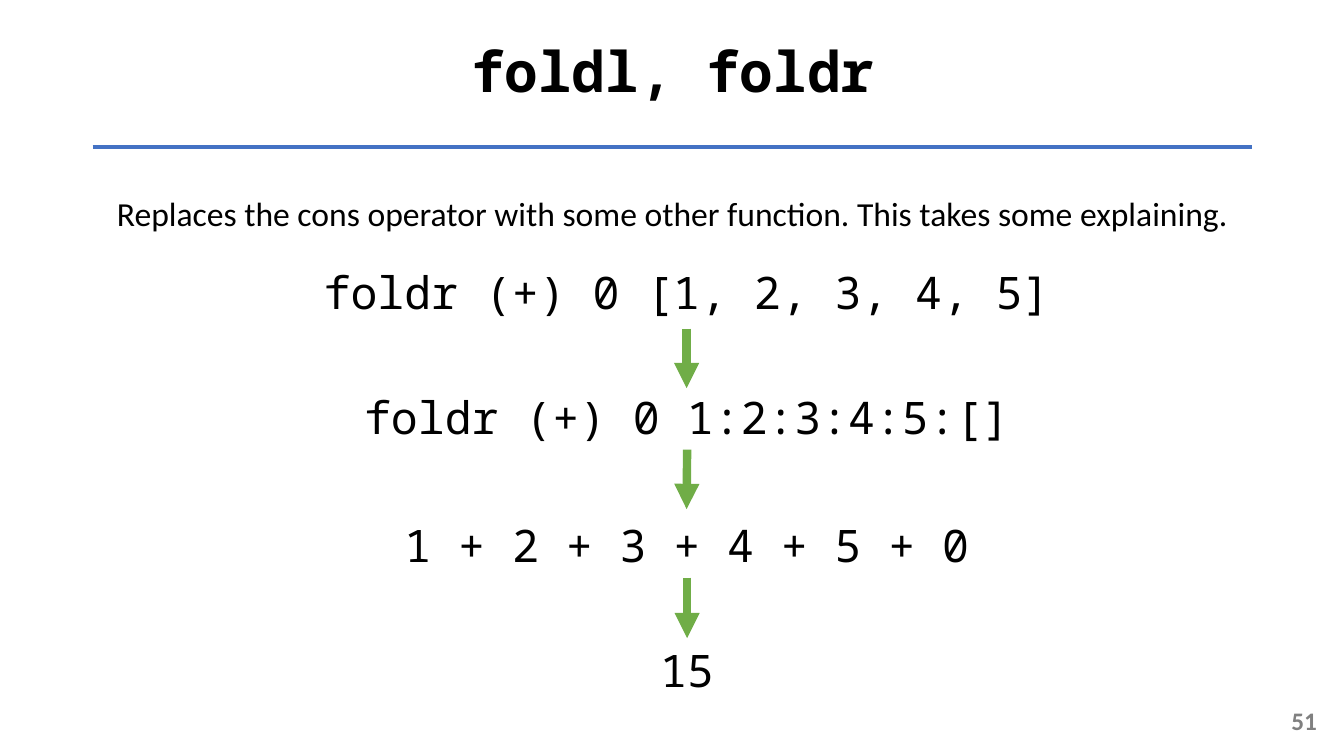
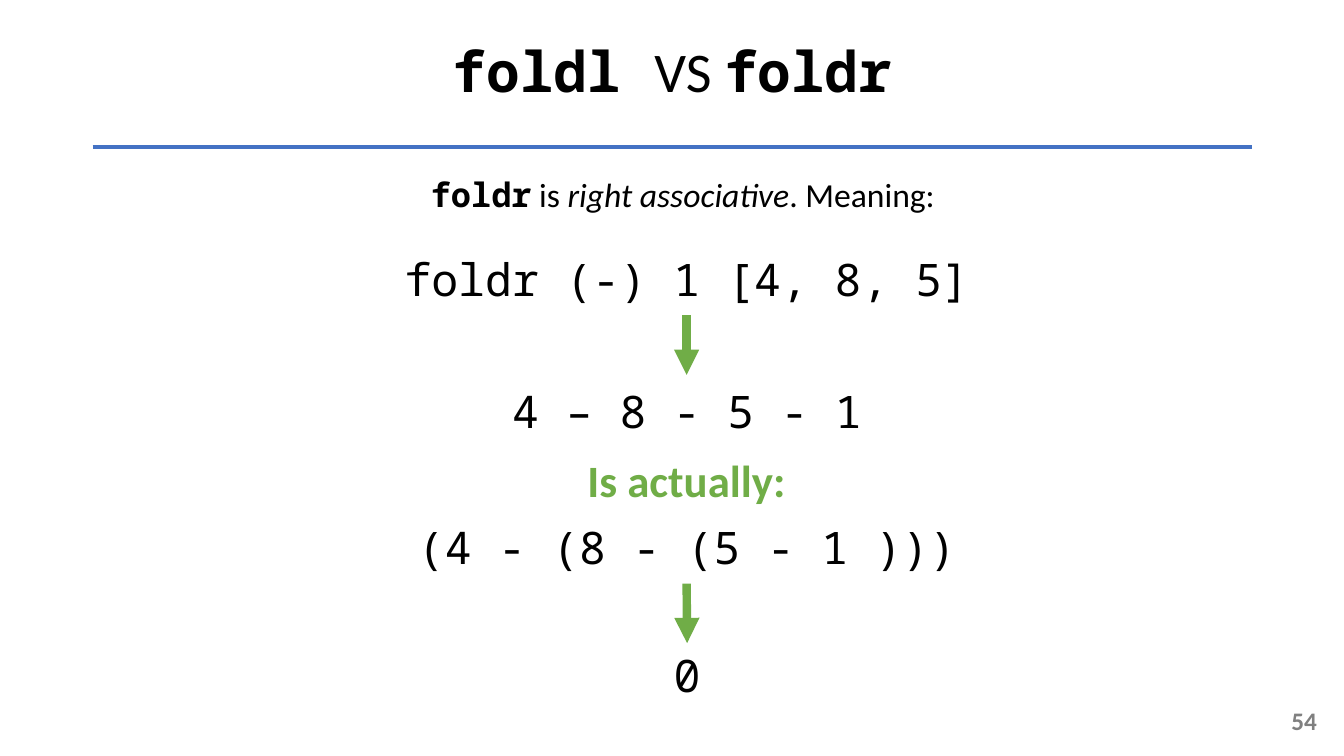
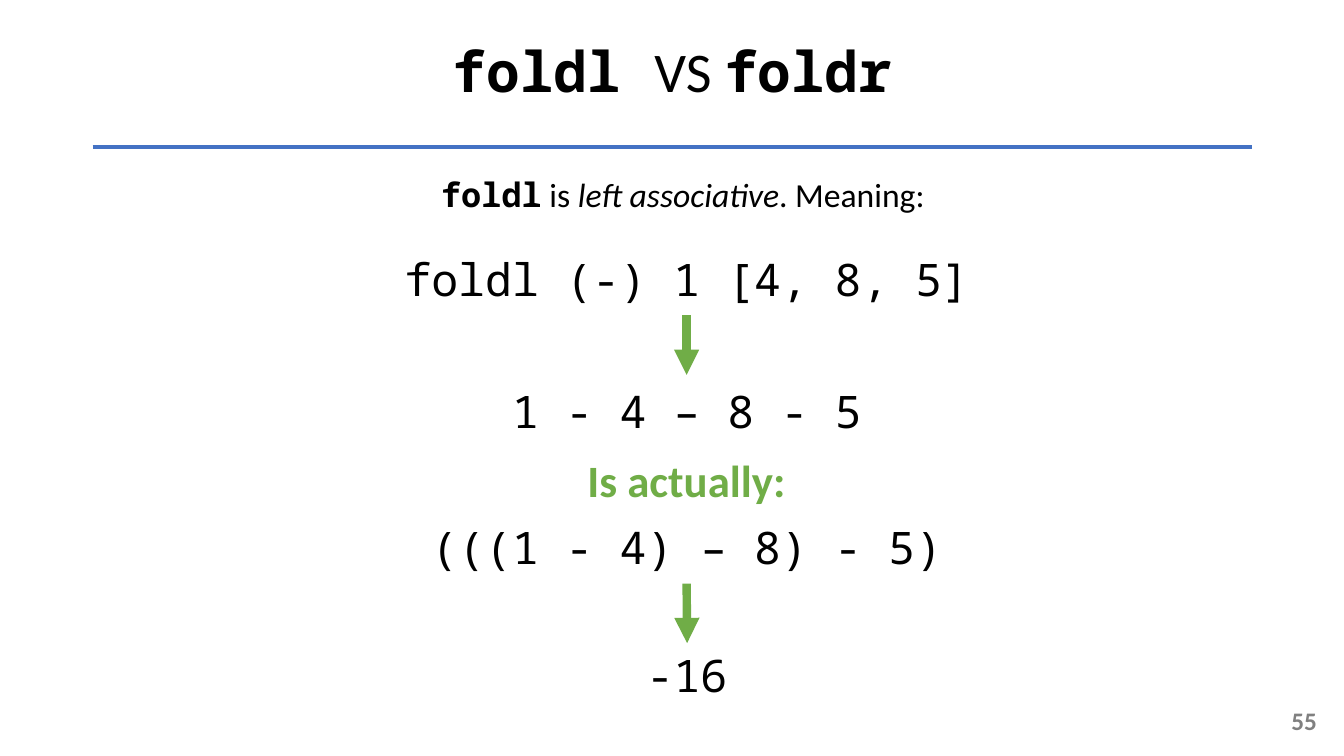
import pptx
import pptx.util
import pptx.dml.color
import pptx.enum.shapes
import pptx.enum.text
import pptx.oxml
import pptx.oxml.ns
from pptx.util import Inches

BLACK = pptx.dml.color.RGBColor(0x00, 0x00, 0x00)
GREEN = pptx.dml.color.RGBColor(0x70, 0xAD, 0x47)
BLUE = pptx.dml.color.RGBColor(0x44, 0x72, 0xC4)
GRAY = pptx.dml.color.RGBColor(0x80, 0x80, 0x80)
SANS = "Calibri"
MONO = "Noto Sans Mono"
CENTER = pptx.enum.text.PP_ALIGN.CENTER
RIGHT = pptx.enum.text.PP_ALIGN.RIGHT
TOP = pptx.enum.text.MSO_ANCHOR.TOP
MIDDLE = pptx.enum.text.MSO_ANCHOR.MIDDLE
LINE_HEIGHT = 0.64
ARROW_X = 6.81
ARROW_LENGTH = 0.59
JOIN_TOLERANCE = Inches(0.02)


def write(shape, runs, size, color=BLACK, align=CENTER, anchor=TOP):
    frame = shape.text_frame
    frame.word_wrap = True
    frame.auto_size = pptx.enum.text.MSO_AUTO_SIZE.NONE
    frame.vertical_anchor = anchor
    paragraph = frame.paragraphs[0]
    paragraph.alignment = align
    for text, font_name, bold, italic in runs:
        run = paragraph.add_run()
        run.text = text
        run.font.name = font_name
        run.font.size = pptx.util.Pt(size)
        run.font.bold = bold
        run.font.italic = italic
        run.font.color.rgb = color
    return shape


def add_line(slide, x1, y1, x2, y2, color, width):
    line = slide.shapes.add_connector(
        pptx.enum.shapes.MSO_CONNECTOR.STRAIGHT,
        Inches(x1), Inches(y1), Inches(x2), Inches(y2))
    line.line.color.rgb = color
    line.line.width = pptx.util.Pt(width)
    pptx.oxml.ns.qn("a:effectLst")
    line._element.spPr.append(pptx.oxml.parse_xml(
        f"<a:effectLst {pptx.oxml.ns.nsdecls('a')}/>"))
    return line


versus_title = [("foldl ", MONO, True, False), ("VS ", SANS, False, False),
                ("foldr", MONO, True, False)]
lessons = [{
    "number": "51",
    "title": [("foldl, foldr", MONO, True, False)],
    "intro": [("Replaces the cons operator with some other function. "
               "This takes some explaining.", SANS, False, False)],
    "intro_box": (0.92, 1.86, 11.5, 0.5),
    "steps": [(2.58, "foldr (+) 0 [1, 2, 3, 4, 5]"),
              (3.82, "foldr (+) 0 1:2:3:4:5:[]"),
              (5.09, "1 + 2 + 3 + 4 + 5 + 0"),
              (6.33, "15")],
    "arrows": [3.26, 4.46, 5.73],
    "remark": None,
}]
for number, function, side, unfolded, grouped, result in [
    ("54", "foldr", "right", "4 – 8 - 5 - 1", "(4 - (8 - (5 - 1 )))", "0"),
    ("55", "foldl", "left", "1 - 4 – 8 - 5", "(((1 - 4) – 8) - 5)", "-16"),
]:
    lessons.append({
        "number": number,
        "title": versus_title,
        "intro": [(function, MONO, True, False), (" is ", SANS, False, False),
                  (f"{side} associative", SANS, False, True),
                  (". Meaning: ", SANS, False, False)],
        "intro_box": (0.73, 1.68, 12.16, 0.5),
        "steps": [(2.45, f"{function} (-) 1 [4, 8, 5]"), (3.76, unfolded),
                  (5.11, grouped), (6.38, result)],
        "arrows": [3.13, 5.79],
        "remark": "Is actually:",
    })

deck = pptx.Presentation()
deck.slide_width = Inches(13.33)
deck.slide_height = Inches(7.5)
title_only = deck.slide_layouts[5]
title_area = title_only.placeholders[0]
title_area.left, title_area.top = Inches(0.92), Inches(0.01)
title_area.width, title_area.height = Inches(11.5), Inches(1.45)

for lesson in lessons:
    slide = deck.slides.add_slide(title_only)
    title = write(slide.shapes.title, lesson["title"], 40, anchor=MIDDLE)
    title.text_frame.paragraphs[0].line_spacing = 0.9
    add_line(slide, 0.92, 1.46, 12.42, 1.46, BLUE, 3)

    intro = slide.shapes.add_textbox(*map(Inches, lesson["intro_box"]))
    write(intro, lesson["intro"], 24)

    steps = []
    for top, expression in lesson["steps"]:
        step = slide.shapes.add_textbox(
            Inches(2.96), Inches(top), Inches(7.71), Inches(LINE_HEIGHT))
        steps.append(write(step, [(expression, MONO, False, False)], 32))

    if lesson["remark"]:
        remark = slide.shapes.add_textbox(
            Inches(5.44), Inches(4.44), Inches(2.74), Inches(LINE_HEIGHT))
        write(remark, [(lesson["remark"], SANS, True, False)], 32, GREEN)

    for start in lesson["arrows"]:
        arrow = add_line(slide, ARROW_X, start, ARROW_X, start + ARROW_LENGTH, GREEN, 6)
        arrow.line._get_or_add_ln().append(pptx.oxml.parse_xml(
            f"<a:tailEnd {pptx.oxml.ns.nsdecls('a')} type='triangle'/>"))
        for step in steps:
            if abs(step.top + step.height - arrow.begin_y) < JOIN_TOLERANCE:
                arrow.begin_connect(step, 2)
            if abs(step.top - arrow.end_y) < JOIN_TOLERANCE:
                arrow.end_connect(step, 0)

    page_number = slide.shapes.add_textbox(
        Inches(10.16), Inches(6.95), Inches(3), Inches(0.4))
    write(page_number, [(lesson["number"], SANS, True, False)], 18, GRAY, RIGHT, MIDDLE)

deck.save("out.pptx")
